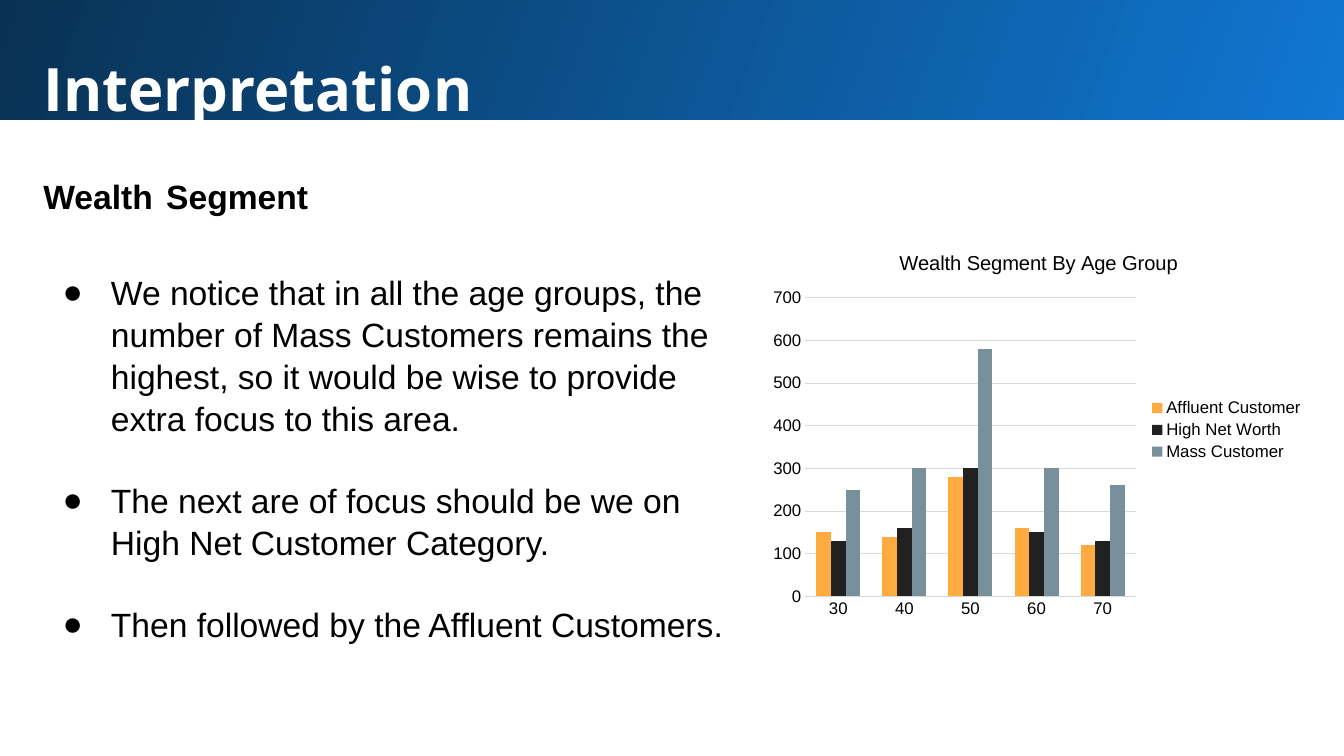
from lxml import etree
from pptx import Presentation
from pptx.chart.data import CategoryChartData
from pptx.dml.color import RGBColor
from pptx.enum.chart import XL_CHART_TYPE, XL_LEGEND_POSITION, XL_TICK_MARK
from pptx.enum.shapes import MSO_SHAPE
from pptx.enum.text import MSO_ANCHOR, MSO_AUTO_SIZE, PP_ALIGN
from pptx.oxml.ns import qn
from pptx.util import Inches, Pt

RECTANGLE = MSO_SHAPE.RECTANGLE
TOP = MSO_ANCHOR.TOP
NO_AUTOFIT = MSO_AUTO_SIZE.NONE
LEFT = PP_ALIGN.LEFT
COLUMNS = XL_CHART_TYPE.COLUMN_CLUSTERED
LEGEND_RIGHT = XL_LEGEND_POSITION.RIGHT
NO_TICKS = XL_TICK_MARK.NONE

COLORS = {
    "banner_light": "1077D2",
    "banner_dark": "093153",
    "white": "FFFFFF",
    "text": "000000",
    "grid": "D9D9D9",
    "affluent": "FFAB40",
    "high_net": "212121",
    "mass": "78909C",
}
FINDINGS = [
    "We notice that in all the age groups, the number of Mass Customers remains "
    "the highest, so it would be wise to provide extra focus to this area.",
    "The next are of focus should be we on High Net Customer Category.",
    "Then followed by the Affluent Customers.",
]
AGE_GROUPS = ["30", "40", "50", "60", "70"]
SEGMENTS = [
    ("Affluent Customer", [150, 140, 280, 160, 120], "affluent"),
    ("High Net Worth", [130, 160, 300, 150, 130], "high_net"),
    ("Mass Customer", [250, 300, 580, 300, 260], "mass"),
]


def rgb(name):
    return RGBColor.from_string(COLORS[name])


def style_font(font, size, name="Arial", color="text", bold=False):
    font.size = Pt(size)
    font.name = name
    font.bold = bold
    font.color.rgb = rgb(color)


def place_text(shape, box):
    shape.left, shape.top, shape.width, shape.height = map(Inches, box)
    frame = shape.text_frame
    frame.word_wrap = True
    frame.auto_size = NO_AUTOFIT
    frame.vertical_anchor = TOP
    frame.margin_left = frame.margin_right = Inches(0.13)
    frame.margin_top = frame.margin_bottom = Inches(0.13)
    return frame


def add_banner(slide, box):
    banner = slide.shapes.add_shape(RECTANGLE, *map(Inches, box))
    banner.shadow.inherit = False
    banner.line.fill.background()
    banner.fill.gradient()
    banner.fill.gradient_angle = 160
    for stop, name in zip(banner.fill.gradient_stops, ["banner_light", "banner_dark"]):
        stop.color.rgb = rgb(name)
    slide.shapes._spTree.insert(2, banner._element)


def fill_title(slide, box):
    frame = place_text(slide.shapes.title, box)
    frame.text = "Interpretation"
    paragraph = frame.paragraphs[0]
    paragraph.alignment = LEFT
    style_font(paragraph.runs[0].font, 42.7, "Open Sans", "white", True)


def add_heading(slide, box):
    frame = place_text(slide.shapes.add_textbox(*map(Inches, box)), box)
    paragraph = frame.paragraphs[0]
    for text, size, font_name in [
        ("Wealth", 24, "Arial"),
        (" ", 26.7, "Comic Neue"),
        ("Segment", 24, "Arial"),
    ]:
        run = paragraph.add_run()
        run.text = text
        style_font(run.font, size, font_name, bold=True)


def set_bullet(paragraph):
    properties = paragraph._p.get_or_add_pPr()
    properties.set("marL", str(Inches(0.67)))
    properties.set("indent", str(Inches(-0.48)))
    bullet_color = etree.SubElement(properties, qn("a:buClr"))
    etree.SubElement(bullet_color, qn("a:srgbClr"), val=COLORS["text"])
    etree.SubElement(properties, qn("a:buFont"), typeface="Arial")
    etree.SubElement(properties, qn("a:buChar"), char="●")


def fill_findings(slide, box):
    frame = place_text(slide.placeholders[1], box)
    frame.text = "\n".join(FINDINGS)
    for index, paragraph in enumerate(frame.paragraphs):
        paragraph.alignment = LEFT
        paragraph.line_spacing = 1.04
        paragraph.space_before = Pt(28.8 if index else 0)
        paragraph.space_after = Pt(0)
        set_bullet(paragraph)
        style_font(paragraph.runs[0].font, 24)


def add_segment_chart(slide, box):
    data = CategoryChartData()
    data.categories = AGE_GROUPS
    for name, values, _ in SEGMENTS:
        data.add_series(name, values)
    chart = slide.shapes.add_chart(COLUMNS, *map(Inches, box), data).chart
    style_font(chart.font, 12)

    chart.has_title = True
    chart.chart_title.include_in_layout = False
    title_frame = chart.chart_title.text_frame
    title_frame.text = "Wealth Segment By Age Group"
    style_font(title_frame.paragraphs[0].runs[0].font, 14.4)

    chart.has_legend = True
    chart.legend.position = LEGEND_RIGHT
    chart.legend.include_in_layout = False
    style_font(chart.legend.font, 12)

    for axis in (chart.category_axis, chart.value_axis):
        axis.major_tick_mark = axis.minor_tick_mark = NO_TICKS
        axis.format.line.fill.background()
        style_font(axis.tick_labels.font, 12)
    value_axis = chart.value_axis
    value_axis.minimum_scale = 0
    value_axis.maximum_scale = 700
    value_axis.major_unit = 100
    value_axis.has_major_gridlines = True
    grid_line = value_axis.major_gridlines.format.line
    grid_line.color.rgb = rgb("grid")
    grid_line.width = Pt(0.75)

    plot = chart.plots[0]
    plot.gap_width = 150
    plot.overlap = 0
    plot.vary_by_categories = False
    for series, (_, _, color) in zip(plot.series, SEGMENTS):
        series.format.fill.solid()
        series.format.fill.fore_color.rgb = rgb(color)


def build_interpretation_slide(presentation):
    slide = presentation.slides.add_slide(presentation.slide_layouts[1])
    add_banner(slide, (-0.02, -0.03, 13.4, 1.22))
    fill_title(slide, (0.3, 0.38, 12.49, 1.11))
    add_heading(slide, (0.3, 1.58, 12.49, 0.74))
    fill_findings(slide, (0.3, 2.55, 7.17, 3.97))
    add_segment_chart(slide, (7.56, 2.32, 5.48, 3.89))


def main():
    presentation = Presentation()
    presentation.slide_width = Inches(13.33)
    presentation.slide_height = Inches(7.5)
    build_interpretation_slide(presentation)
    presentation.save("out.pptx")


if __name__ == "__main__":
    main()
